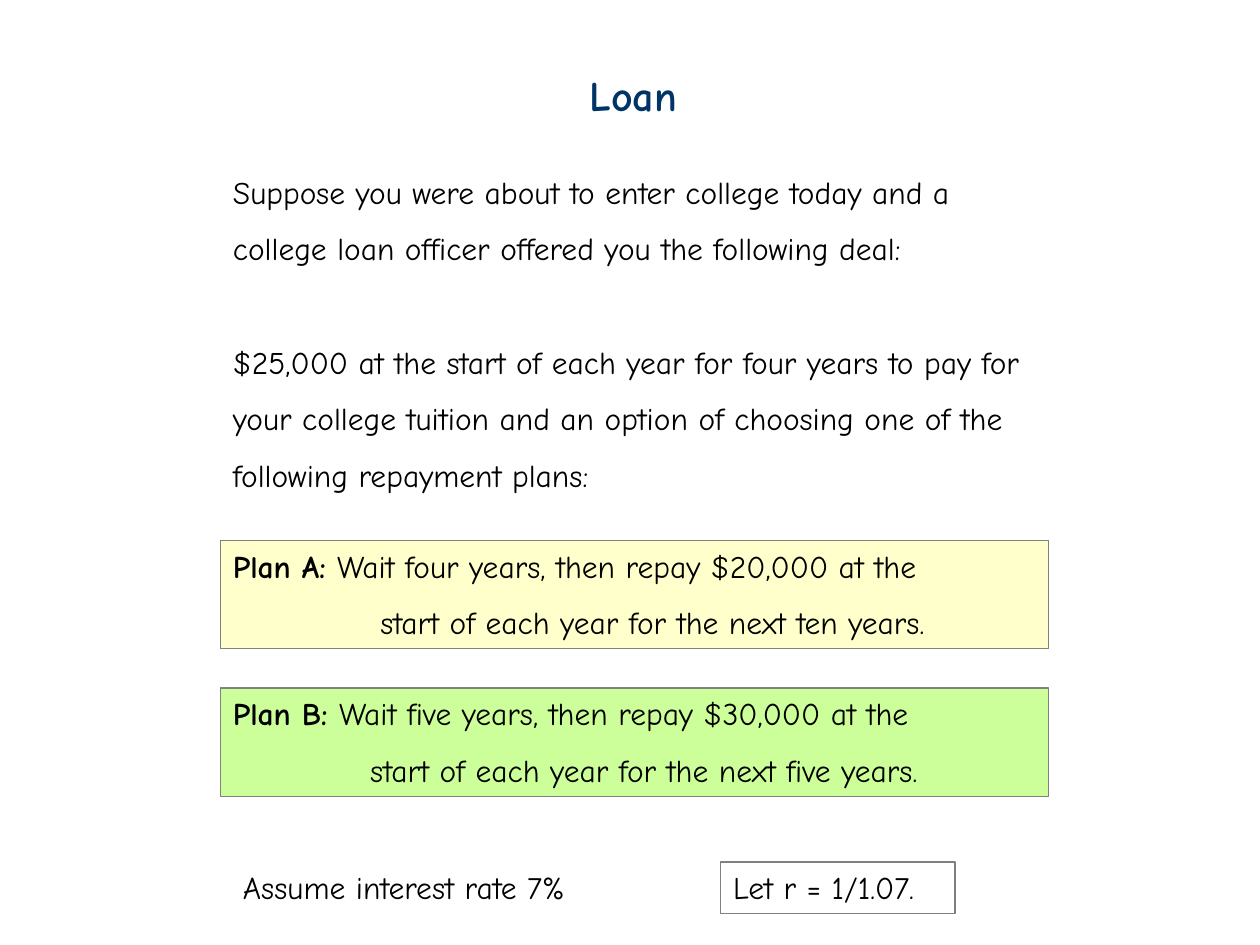
"""Build the loan slide with its two repayment plans."""
import pptx
import pptx.util
import pptx.dml.color
import pptx.enum.shapes
import pptx.enum.text

Inches = pptx.util.Inches
Pt = pptx.util.Pt
RGBColor = pptx.dml.color.RGBColor

NAVY = RGBColor(0x00, 0x33, 0x66)
BLACK = RGBColor(0x00, 0x00, 0x00)
GRAY = RGBColor(0x80, 0x80, 0x80)
CREAM = RGBColor(0xFF, 0xFF, 0xCC)
GREEN = RGBColor(0xCC, 0xFF, 0x99)
FACE = "Comic Neue"

deck = pptx.Presentation()
deck.slide_width, deck.slide_height = Inches(10), Inches(7.5)
slide = deck.slides.add_slide(deck.slide_layouts[6])


def style(para, size=18, color=BLACK):
    para.alignment = pptx.enum.text.PP_ALIGN.LEFT
    para.font.name = FACE
    para.font.size = Pt(size)
    para.font.color.rgb = color


def add_box(left, top, width, height, wrap=True, framed=False, fill=None):
    place = [Inches(n) for n in (left, top, width, height)]
    if framed:
        box = slide.shapes.add_shape(pptx.enum.shapes.MSO_SHAPE.RECTANGLE, *place)
        box.shadow.inherit = False
        box.line.color.rgb = GRAY
        box.line.width = Pt(0.75)
        if fill is None:
            box.fill.background()
        else:
            box.fill.solid()
            box.fill.fore_color.rgb = fill
    else:
        box = slide.shapes.add_textbox(*place)
    frame = box.text_frame
    frame.word_wrap = wrap
    frame.auto_size = pptx.enum.text.MSO_AUTO_SIZE.SHAPE_TO_FIT_TEXT
    frame.vertical_anchor = pptx.enum.text.MSO_ANCHOR.TOP
    return frame


title = add_box(4.58, 0.5, 0.92, 0.5, wrap=False).paragraphs[0]
title.text = "Loan"
style(title, 24, NAVY)
title.font.bold = True

story = add_box(1.75, 1.17, 6.58, 2.81)
story.text = (
    "Suppose you were about to enter college today and a college loan officer "
    "offered you the following deal:\n"
    "$25,000 at the start of each year for four years to pay for your college "
    "tuition and an option of choosing one of the following repayment plans:"
)
for para in story.paragraphs:
    para.line_spacing = 1.5
    style(para)
story.paragraphs[1].space_before = Pt(32.4)

plans = [
    (4.29, CREAM, "Plan A: ", "Wait four years, then repay $20,000 at the",
     "start of each year for the next ten years.", 1.17),
    (5.46, GREEN, "Plan B: ", "Wait five years, then repay $30,000 at the",
     "start of each year for the next five years.", 1.09),
]
for top, fill, name, start, rest, indent in plans:
    frame = add_box(1.75, top, 6.57, 0.86, framed=True, fill=fill)
    first, second = frame.paragraphs[0], frame.add_paragraph()
    label = first.add_run()
    label.text = name
    label.font.bold = True
    first.add_run().text = start
    second.text = rest
    second.line_spacing = 1.5
    second._p.get_or_add_pPr().set("marL", str(Inches(indent)))
    style(first)
    style(second)

for left, width, height, framed, words in [
    (1.83, 3.12, 0.4, False, "Assume interest rate 7%"),
    (5.72, 1.86, 0.41, True, "Let r = 1/1.07."),
]:
    note = add_box(left, 6.84, width, height, wrap=False, framed=framed).paragraphs[0]
    note.text = words
    style(note)

deck.save("out.pptx")
